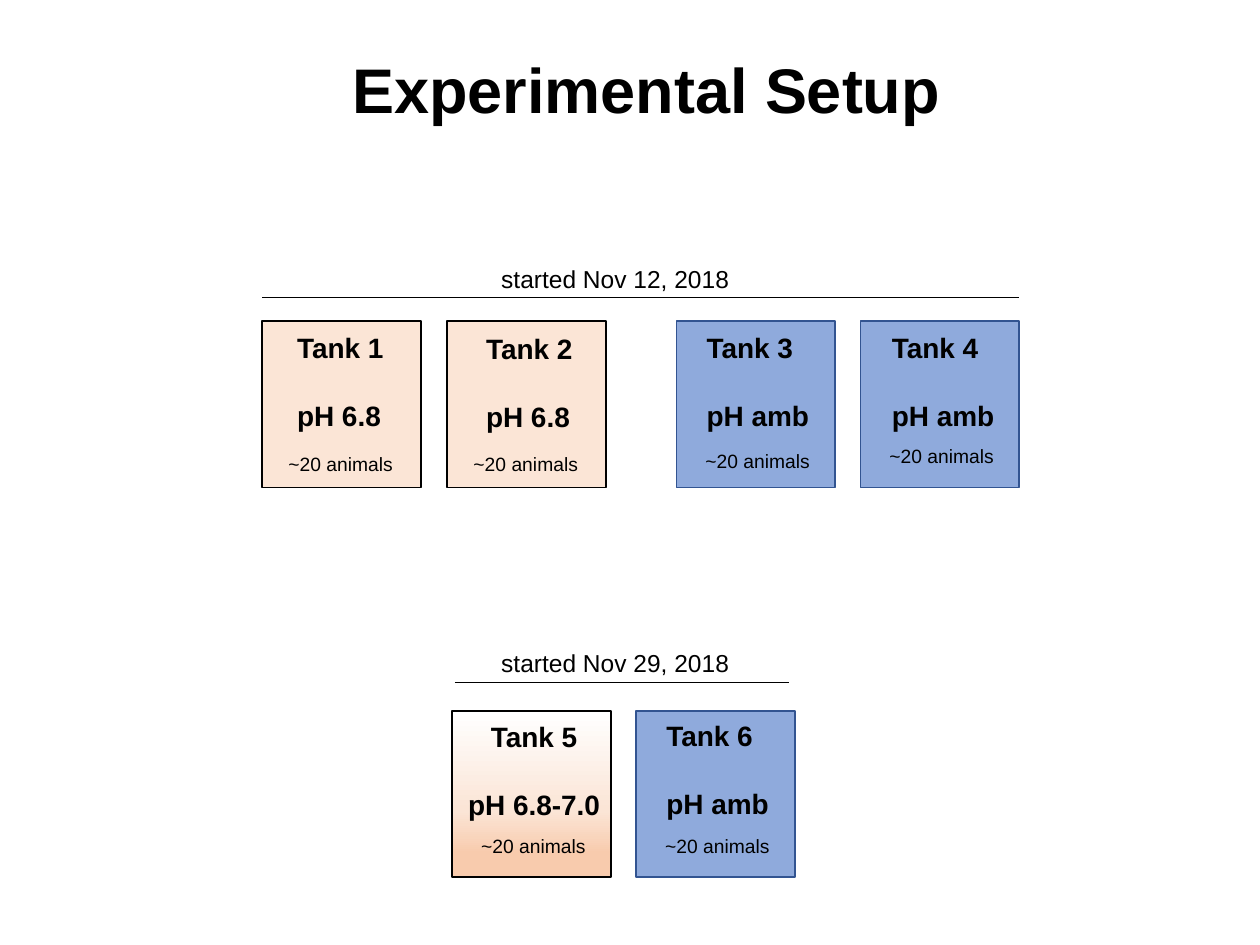
from lxml import etree
from pptx import Presentation
from pptx.dml.color import RGBColor
from pptx.enum.shapes import MSO_CONNECTOR, MSO_SHAPE
from pptx.enum.text import PP_ALIGN
from pptx.oxml.ns import qn
from pptx.util import Inches, Pt

RECT = MSO_SHAPE.RECTANGLE
STRAIGHT = MSO_CONNECTOR.STRAIGHT
LEFT, CENTER = PP_ALIGN.LEFT, PP_ALIGN.CENTER

HEX = {"black": "000000", "white": "FFFFFF", "peach": "FBE5D6",
       "orange": "F8CBAD", "blue": "8FAADC", "navy": "325491"}
RGB = {name: RGBColor.from_string(code) for name, code in HEX.items()}

# Font formats by role
HEAD = {"size": Pt(36), "bold": True, "name": "Arial"}
LABEL = {"size": Pt(16), "bold": True, "name": "Arial"}
DATE = {"size": Pt(14), "bold": False, "name": "Arial"}
COUNT = {"size": Pt(11), "bold": False, "name": "Arial"}

deck = Presentation()
deck.slide_width, deck.slide_height = Inches(10), Inches(7.5)
slide = deck.slides.add_slide(deck.slide_layouts[6])

# Grid of 100 columns by 75 rows
COL, ROW = deck.slide_width / 100, deck.slide_height / 75


def grid(x, y, *size):
    """Turn columns and rows into lengths."""
    return [round(n * unit) for n, unit in zip((x, y, *size), (COL, ROW) * 2)]


def write(lines, place, style, align=LEFT, wrap=False):
    """Add a text box, its lines set apart by a line's height."""
    frame = slide.shapes.add_textbox(*grid(*place)).text_frame
    frame.word_wrap = wrap
    for i, line in enumerate(lines):
        para = frame.add_paragraph() if i else frame.paragraphs[0]
        para.alignment = align
        para.space_before = Pt(20 if i else 0)
        run = para.add_run()
        run.text = line
        for key, value in style.items():
            setattr(run.font, key, value)
        run.font.color.rgb = RGB["black"]


# Title
write(["Experimental Setup"], (5.8, 3.5, 91, 7.1), HEAD, CENTER, True)

# Start dates, each over a rule: date, top of text, rule's ends and row
for date, top, start, end, row in [
        ("started Nov 12, 2018", 20.5, 20.8, 80.9, 23.6),
        ("started Nov 29, 2018", 50.9, 36.1, 62.6, 54.2)]:
    write([date], (38.8, top, 20.7, 3.4), DATE)
    rule = slide.shapes.add_connector(STRAIGHT, *grid(start, row, end, row))
    rule.line.color.rgb = RGB["black"]
    rule.line.width = Pt(0.5)
    etree.SubElement(rule._element.spPr, qn("a:effectLst"))

# Tanks: pH, column and row, then label and count offsets within the tank
WIDE, HIGH = 12.6, 13.2
EDGE = {"peach": "black", "fade": "black", "blue": "navy"}
FADE = [(0, "white"), (60, "peach"), (86, "orange"), (100, "orange")]
TANKS = [
    ("pH 6.8", "peach", 20.8, 25.5, (1.8, 0.2, 9), (1.1, 9.9)),
    ("pH 6.8", "peach", 35.5, 25.5, (2.1, 0.3, 9), (1.1, 9.9)),
    ("pH amb", "blue", 53.7, 25.5, (1.4, 0.2, 10.2), (1.3, 9.7)),
    ("pH amb", "blue", 68.3, 25.5, (1.5, 0.2, 10.2), (1.3, 9.3)),
    ("pH 6.8-7.0", "fade", 35.9, 56.4, (0.2, 0.2, 12.6), (1.3, 9.3)),
    ("pH amb", "blue", 50.5, 56.4, (1.4, 0.1, 10.2), (1.3, 9.3)),
]
for num, (acid, tint, x, y, label, count) in enumerate(TANKS, 1):
    tank = slide.shapes.add_shape(RECT, *grid(x, y, WIDE, HIGH))
    tank.shadow.inherit = False
    tank.line.color.rgb = RGB[EDGE[tint]]
    tank.line.width = Pt(1)
    if tint == "fade":
        # Four stops from top to bottom
        tank.fill.gradient()
        tank.fill.gradient_angle = 270
        stops = tank._element.spPr.find(".//" + qn("a:gsLst"))
        for old in list(stops):
            stops.remove(old)
        for share, shade in FADE:
            stop = etree.SubElement(stops, qn("a:gs"), pos=str(share * 1000))
            etree.SubElement(stop, qn("a:srgbClr"), val=HEX[shade])
    else:
        tank.fill.solid()
        tank.fill.fore_color.rgb = RGB[tint]

    dx, dy, width = label
    write([f"Tank {num}", acid], (x + dx, y + dy, width, 9.1), LABEL,
          CENTER if tint == "fade" else LEFT)
    dx, dy = count
    write(["~20 animals"], (x + dx, y + dy, 10.4, 2.9), COUNT)

deck.save("out.pptx")
